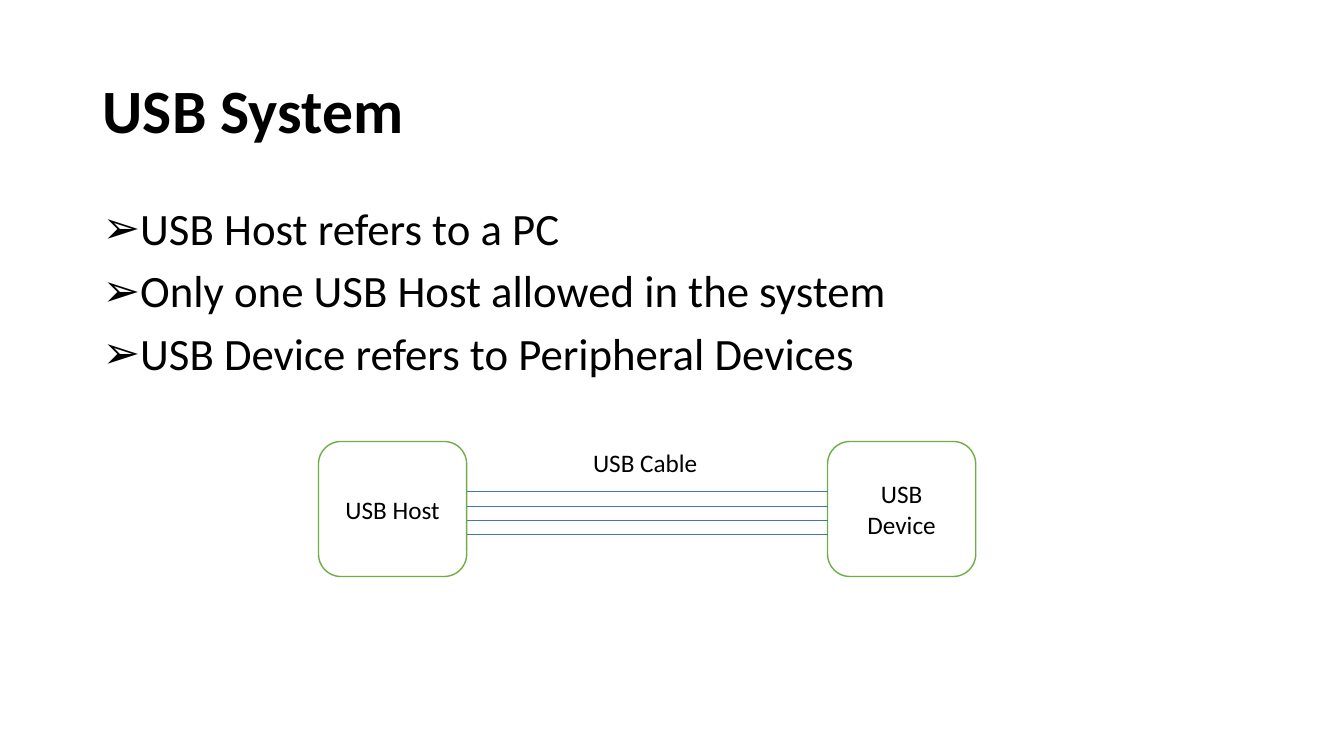
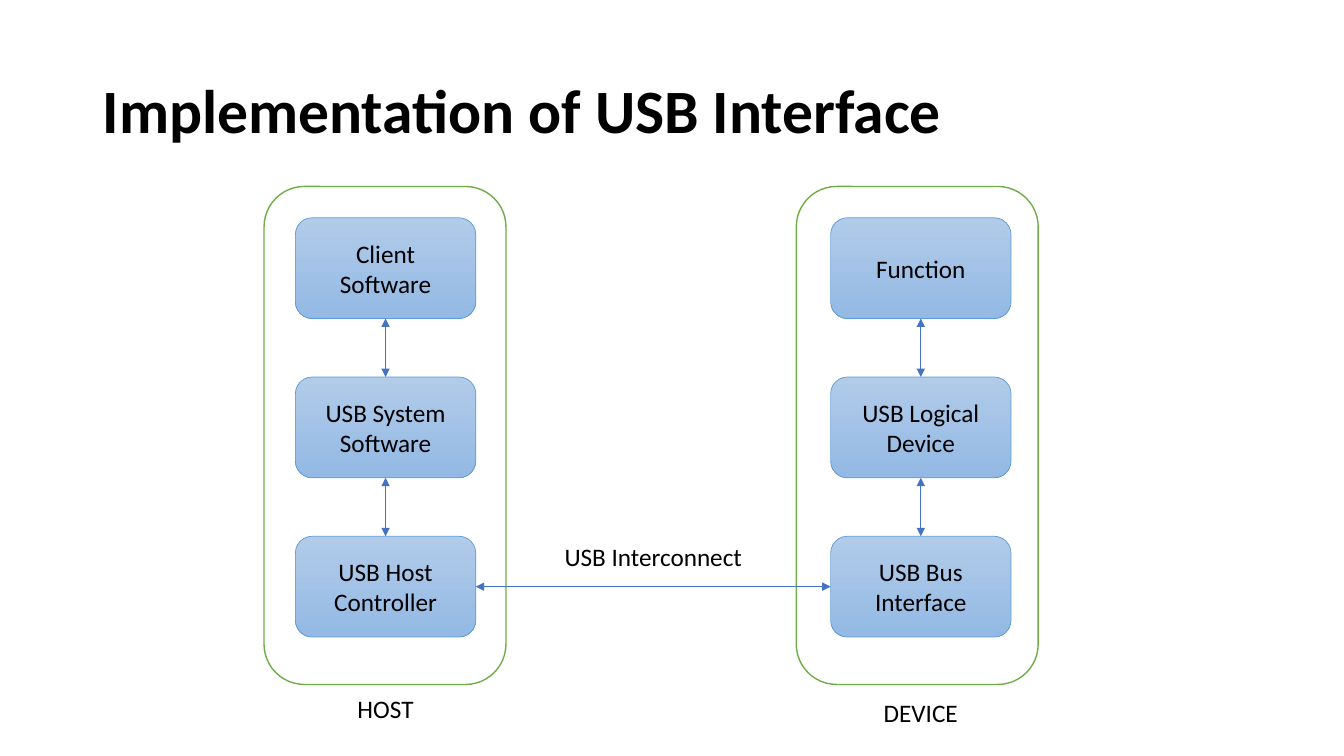
from dataclasses import dataclass

from lxml.etree import SubElement
from pptx import Presentation
from pptx.dml.color import RGBColor
from pptx.enum.shapes import MSO_CONNECTOR as Connector, MSO_SHAPE as Preset
from pptx.enum.text import MSO_ANCHOR as Anchor, MSO_AUTO_SIZE as AutoSize, PP_ALIGN as Align
from pptx.oxml.ns import qn
from pptx.util import Inches, Pt

COLOURS = {
    "text": "000000",
    "panel": "FFFFFF",
    "outline": "70AD47",
    "wire": "4472C4",
    "block_top": "B1CBE9",
    "block_bottom": "93B9E4",
    "block_line": "5B9BD5",
}
FONT = "Calibri"
TITLE_ONLY = 5
TOP, LEFT, BOTTOM, RIGHT = range(4)  # connection sites of a rounded rectangle


@dataclass
class Box:
    """A region in inches, divided into 100 columns and 100 rows."""
    left: float
    top: float
    width: float
    height: float

    def x(self, column):
        return self.left + self.width * column / 100

    def y(self, row):
        return self.top + self.height * row / 100

    def region(self, column, row, columns, rows):
        return Box(self.x(column), self.y(row),
                   self.width * columns / 100, self.height * rows / 100)

    def emu(self):
        return [Inches(n) for n in (self.left, self.top, self.width, self.height)]


SLIDE = Box(0, 0, 13.33, 7.5)
TITLE = SLIDE.region(6.9, 5.33, 86.25, 19.33)


def colour(name):
    return RGBColor.from_string(COLOURS[name])


# Text
def add_run(paragraph, text, size=18, bold=False):
    run = paragraph.add_run()
    run.text = text
    run.font.name = FONT
    run.font.size = Pt(size)
    run.font.bold = bold
    run.font.color.rgb = colour("text")


def add_label(slide, box, text):
    frame = slide.shapes.add_textbox(*box.emu()).text_frame
    frame.word_wrap = True
    frame.paragraphs[0].alignment = Align.CENTER
    add_run(frame.paragraphs[0], text)


def add_bullets(slide, box, lines):
    frame = slide.shapes.add_textbox(*box.emu()).text_frame
    frame.word_wrap = True
    for index, line in enumerate(lines):
        paragraph = frame.add_paragraph() if index else frame.paragraphs[0]
        paragraph.line_spacing = 0.9
        paragraph.space_before = Pt(10)
        properties = paragraph._p.get_or_add_pPr()
        properties.set("marL", str(Inches(0.25)))
        properties.set("indent", str(-Inches(0.25)))
        SubElement(properties, qn("a:buFont")).set("typeface", "Arial")
        SubElement(properties, qn("a:buChar")).set("char", "➢")
        add_run(paragraph, line, 32)


def add_titled_slide(presentation, text):
    slide = presentation.slides.add_slide(presentation.slide_layouts[TITLE_ONLY])
    title = slide.shapes.title
    title.left, title.top, title.width, title.height = TITLE.emu()
    frame = title.text_frame
    frame.auto_size = AutoSize.NONE
    frame.vertical_anchor = Anchor.MIDDLE
    paragraph = frame.paragraphs[0]
    paragraph.alignment = Align.LEFT
    paragraph.line_spacing = 0.9
    add_run(paragraph, text, 44, bold=True)
    return slide


# Shapes and lines
def add_rounded(slide, box, text, line, weight):
    shape = slide.shapes.add_shape(Preset.ROUNDED_RECTANGLE, *box.emu())
    shape.shadow.inherit = False
    shape.line.color.rgb = colour(line)
    shape.line.width = Pt(weight)
    if text:
        frame = shape.text_frame
        frame.word_wrap = True
        frame.vertical_anchor = Anchor.MIDDLE
        frame.paragraphs[0].alignment = Align.CENTER
        add_run(frame.paragraphs[0], text)
    return shape


def add_panel(slide, box, text=""):
    shape = add_rounded(slide, box, text, "outline", 1)
    shape.fill.solid()
    shape.fill.fore_color.rgb = colour("panel")


def add_block(slide, box, text):
    shape = add_rounded(slide, box, text, "block_line", 0.5)
    shape.fill.gradient()
    shape.fill.gradient_angle = 270
    for stop, name in zip(shape.fill.gradient_stops, ("block_top", "block_bottom")):
        stop.color.rgb = colour(name)
    return shape


def add_wire(slide, x1=0, y1=0, x2=0, y2=0):
    ends = [Inches(n) for n in (x1, y1, x2, y2)]
    wire = slide.shapes.add_connector(Connector.STRAIGHT, *ends)
    wire.line.color.rgb = colour("wire")
    wire.line.width = Pt(0.5)
    SubElement(wire._element.spPr, qn("a:effectLst"))
    return wire


def add_double_arrow(slide, start, start_site, end, end_site):
    arrow = add_wire(slide)
    arrow.begin_connect(start, start_site)
    arrow.end_connect(end, end_site)
    for tag in ("a:headEnd", "a:tailEnd"):
        SubElement(arrow.get_or_add_ln(), qn(tag)).set("type", "triangle")


# Regions
def draw_cable_system(slide, box):
    """Host and device joined by a cable of four wires."""
    side = 22.55
    add_panel(slide, box.region(0, 0, side, 100), "USB Host")
    add_panel(slide, box.region(100 - side, 0, side, 100), "USB Device")
    for index in range(4):
        y = box.y(37.3 + 10.45 * index)
        add_wire(slide, box.x(side), y, box.x(100 - side), y)
    add_label(slide, box.region(32.06, 0.75, 35.28, 30.6), "USB Cable")


def draw_stack(slide, box, caption, caption_row, inset, names):
    """Panel with a column of linked blocks and a caption below."""
    block_width, label_width = 74.58, 85
    add_panel(slide, box)
    blocks = [add_block(slide, box.region(inset, 6.28 + 31.98 * row, block_width, 20.24), name)
              for row, name in enumerate(names)]
    for upper, lower in zip(blocks, blocks[1:]):
        add_double_arrow(slide, upper, BOTTOM, lower, TOP)
    label_left = inset + (block_width - label_width) / 2
    add_label(slide, box.region(label_left, caption_row, label_width, 8.1), caption)
    return blocks


# Slides
def build_system_slide(presentation):
    slide = add_titled_slide(presentation, "USB System")
    add_bullets(slide, SLIDE.region(6.9, 26.67, 86.25, 63.47), [
        "USB Host refers to a PC",
        "Only one USB Host allowed in the system",
        "USB Device refers to Peripheral Devices",
    ])
    draw_cable_system(slide, SLIDE.region(23.7, 58.4, 48.9, 17.87))


def build_interface_slide(presentation):
    slide = add_titled_slide(presentation, "Implementation of USB Interface")
    host = draw_stack(slide, SLIDE.region(19.65, 24.67, 18, 65.87), "HOST", 100.81, 12.92,
                      ["Client Software", "USB System Software", "USB Host Controller"])
    device = draw_stack(slide, SLIDE.region(59.25, 24.67, 18, 65.87), "DEVICE", 101.62, 14.17,
                        ["Function", "USB Logical Device", "USB Bus Interface"])
    add_double_arrow(slide, device[-1], LEFT, host[-1], RIGHT)
    add_label(slide, SLIDE.region(40.96, 70.93, 15.3, 5.33), "USB Interconnect")


def main():
    presentation = Presentation()
    presentation.slide_width = Inches(SLIDE.width)
    presentation.slide_height = Inches(SLIDE.height)
    build_system_slide(presentation)
    build_interface_slide(presentation)
    presentation.save("out.pptx")


if __name__ == "__main__":
    main()
